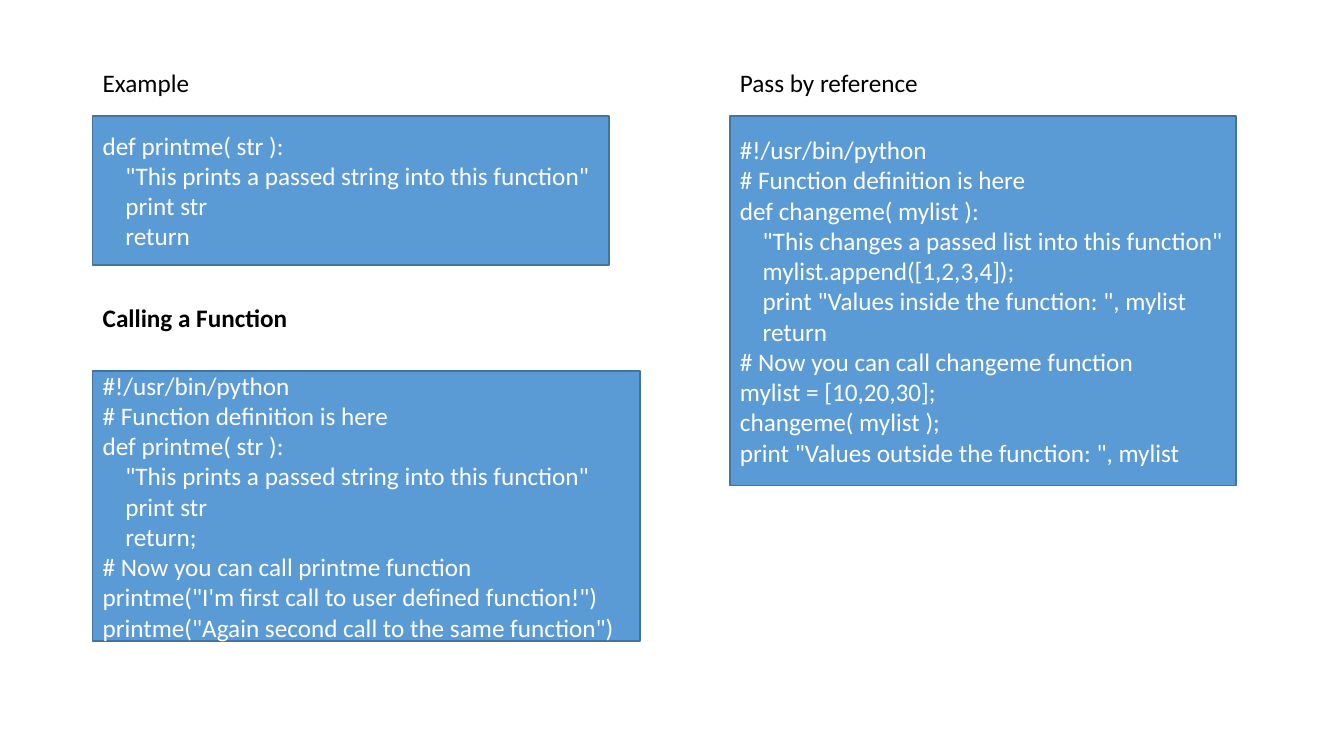
from dataclasses import dataclass

import pptx
import pptx.dml.color
import pptx.enum.shapes
import pptx.enum.text
import pptx.slide
import pptx.text.text
import pptx.util

EMU_PER_PX = 9144
LEFT_COLUMN = 92
RIGHT_COLUMN = 724
HEADING_HEIGHT = 40


@dataclass(frozen=True)
class Heading:
    text: str
    left: int
    top: int
    width: int
    bold: bool = False


@dataclass(frozen=True)
class CodePanel:
    code: str
    left: int
    top: int
    width: int
    height: int


HEADINGS = [
    Heading("Example", LEFT_COLUMN, 62, 107),
    Heading("Calling a Function", LEFT_COLUMN, 295, 205, bold=True),
    Heading("Pass by reference", RIGHT_COLUMN, 62, 199),
]

DEFINITION_CODE = """def printme( str ):
    "This prints a passed string into this function"
    print str
    return"""

CALLING_CODE = """#!/usr/bin/python
# Function definition is here
def printme( str ):
    "This prints a passed string into this function"
    print str
    return;
# Now you can call printme function
printme("I'm first call to user defined function!")
printme("Again second call to the same function")"""

REFERENCE_CODE = """#!/usr/bin/python
# Function definition is here
def changeme( mylist ):
    "This changes a passed list into this function"
    mylist.append([1,2,3,4]);
    print "Values inside the function: ", mylist
    return
# Now you can call changeme function
mylist = [10,20,30];
changeme( mylist );
print "Values outside the function: ", mylist"""

CODE_PANELS = [
    CodePanel(DEFINITION_CODE, LEFT_COLUMN, 115, 512, 148),
    CodePanel(CALLING_CODE, LEFT_COLUMN, 368, 543, 268),
    CodePanel(REFERENCE_CODE, RIGHT_COLUMN, 115, 502, 367),
]


def px(length: int) -> pptx.util.Emu:
    return pptx.util.Emu(length * EMU_PER_PX)


def color(hex_value: str) -> pptx.dml.color.RGBColor:
    return pptx.dml.color.RGBColor.from_string(hex_value)


def write_lines(frame: pptx.text.text.TextFrame, text: str,
                hex_value: str, bold: bool = False) -> None:
    for index, line in enumerate(text.split("\n")):
        paragraph = frame.paragraphs[0] if index == 0 else frame.add_paragraph()
        paragraph.alignment = pptx.enum.text.PP_ALIGN.LEFT
        run = paragraph.add_run()
        run.text = line
        run.font.name = "Calibri"
        run.font.size = pptx.util.Pt(18)
        run.font.bold = bold
        run.font.color.rgb = color(hex_value)


def draw_heading(slide: pptx.slide.Slide, heading: Heading) -> None:
    box = slide.shapes.add_textbox(
        px(heading.left), px(heading.top), px(heading.width), px(HEADING_HEIGHT))
    box.text_frame.word_wrap = False
    box.text_frame.auto_size = pptx.enum.text.MSO_AUTO_SIZE.SHAPE_TO_FIT_TEXT
    write_lines(box.text_frame, heading.text, "000000", heading.bold)


def draw_code_panel(slide: pptx.slide.Slide, panel: CodePanel) -> None:
    shape = slide.shapes.add_shape(
        pptx.enum.shapes.MSO_SHAPE.RECTANGLE,
        px(panel.left), px(panel.top), px(panel.width), px(panel.height))
    shape.shadow.inherit = False
    shape.fill.solid()
    shape.fill.fore_color.rgb = color("5B9BD5")
    shape.line.color.rgb = color("43739E")
    shape.line.width = pptx.util.Pt(1)
    shape.text_frame.word_wrap = True
    shape.text_frame.vertical_anchor = pptx.enum.text.MSO_ANCHOR.MIDDLE
    write_lines(shape.text_frame, panel.code, "FFFFFF")


def main() -> None:
    presentation = pptx.Presentation()
    presentation.slide_width = px(1333)
    presentation.slide_height = px(750)
    slide = presentation.slides.add_slide(presentation.slide_layouts[6])
    for heading in HEADINGS:
        draw_heading(slide, heading)
    for panel in CODE_PANELS:
        draw_code_panel(slide, panel)
    presentation.save("out.pptx")


if __name__ == "__main__":
    main()
